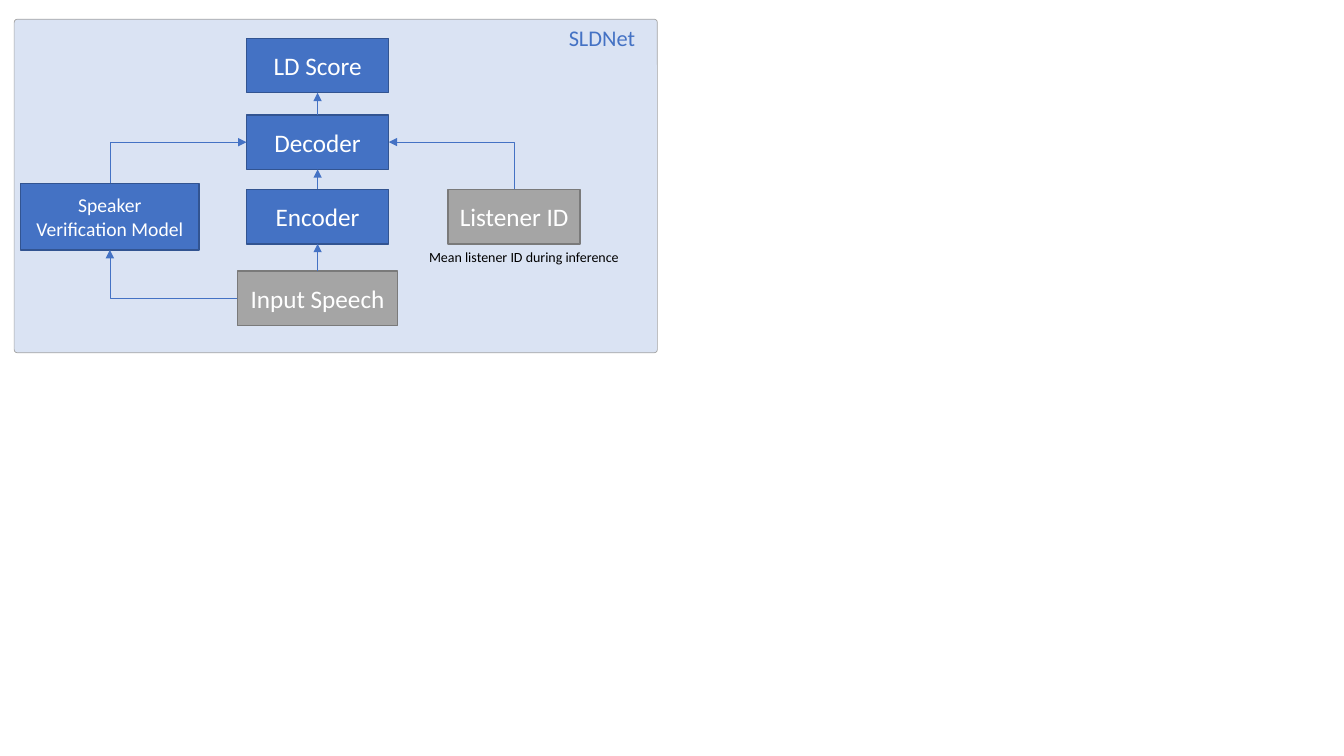
from lxml.etree import SubElement
from pptx import Presentation
from pptx.dml.color import RGBColor
from pptx.enum.shapes import MSO_CONNECTOR, MSO_SHAPE
from pptx.enum.text import MSO_ANCHOR, PP_ALIGN
from pptx.oxml.ns import qn
from pptx.util import Inches, Pt

HUES = {
    "panel": "DAE3F3", "blue": "4472C4", "navy": "325491",
    "gray": "A5A5A5", "slate": "7A7A7A", "white": "FFFFFF", "black": "000000",
}
EDGES = {"blue": "navy", "gray": "slate"}
TOP, LEFT, BASE, RIGHT = range(4)
MID = 3.15
TALL = 0.54


def hue(name):
    return RGBColor.from_string(HUES[name])


def write(shape, text, size, color):
    frame = shape.text_frame
    frame.word_wrap = True
    para = frame.paragraphs[0]
    para.alignment = PP_ALIGN.CENTER
    run = para.add_run()
    run.text = text
    run.font.name = "Calibri"
    run.font.size = Pt(size)
    run.font.color.rgb = hue(color)


def form(slide, kind, spot, fill, edge, width):
    shape = slide.shapes.add_shape(kind, *map(Inches, spot))
    shape.shadow.inherit = False
    shape.fill.solid()
    shape.fill.fore_color.rgb = hue(fill)
    shape.line.color.rgb = hue(edge)
    shape.line.width = Pt(width)
    return shape


def panel(slide):
    shape = form(slide, MSO_SHAPE.ROUNDED_RECTANGLE,
                 (0.14, 0.19, 6.38, 3.31), "panel", "gray", 0.5)
    shape.adjustments[0] = 0.01


def block(slide, text, mid, top, wide, tall=TALL, fill="blue", size=18):
    spot = (mid - wide / 2, top, wide, tall)
    shape = form(slide, MSO_SHAPE.RECTANGLE, spot, fill, EDGES[fill], 1)
    shape.text_frame.vertical_anchor = MSO_ANCHOR.MIDDLE
    write(shape, text, size, "white")
    return shape


def label(slide, text, spot, size, color):
    write(slide.shapes.add_textbox(*map(Inches, spot)), text, size, color)


def style(link):
    link.line.color.rgb = hue("blue")
    link.line.width = Pt(0.5)
    props = link._element.spPr
    SubElement(props.find(qn("a:ln")), qn("a:tailEnd"), type="triangle")
    SubElement(props, qn("a:effectLst"))


def rise(slide, low, high):
    link = slide.shapes.add_connector(MSO_CONNECTOR.STRAIGHT, 0, 0, 0, 0)
    link.begin_connect(low, TOP)
    link.end_connect(high, BASE)
    style(link)


def port(shape, side):
    across, down = {TOP: (1, 0), LEFT: (0, 1), BASE: (1, 2), RIGHT: (2, 1)}[side]
    return (shape.left + shape.width * across // 2,
            shape.top + shape.height * down // 2)


def bend(slide, start, side, end, goal):
    x1, y1 = port(start, side)
    x2, y2 = port(end, goal)
    climbs = side == TOP
    if climbs:
        mx, my = (x1 + x2) // 2, (y1 + y2) // 2
        dx, dy = (x2 - x1) // 2, (y1 - y2) // 2
        x1, y1, x2, y2 = mx - dy, my - dx, mx + dy, my + dx
    link = slide.shapes.add_connector(MSO_CONNECTOR.ELBOW, x1, y1, x2, y2)
    props = link._element.spPr
    props.find(qn("a:prstGeom")).set("prst", "bentConnector2")
    if climbs:
        props.find(qn("a:xfrm")).set("rot", str(270 * 60000))
    style(link)


def main():
    deck = Presentation()
    deck.slide_width, deck.slide_height = Inches(13.33), Inches(7.5)
    slide = deck.slides.add_slide(deck.slide_layouts[6])
    panel(slide)

    score = block(slide, "LD Score", MID, 0.38, 1.41)
    decode = block(slide, "Decoder", MID, 1.14, 1.41)
    encode = block(slide, "Encoder", MID, 1.88, 1.41)
    speech = block(slide, "Input Speech", MID, 2.69, 1.59, fill="gray")
    hearer = block(slide, "Listener ID", 5.1, 1.88, 1.31, fill="gray")
    voice = block(slide, "Speaker Verification Model", 1.09, 1.82, 1.77,
                  tall=0.66, size=14)

    stack = [speech, encode, decode, score]
    for low, high in zip(stack, stack[1:]):
        rise(slide, low, high)
    bend(slide, hearer, TOP, decode, RIGHT)
    bend(slide, speech, LEFT, voice, BASE)
    bend(slide, voice, TOP, decode, LEFT)

    label(slide, "Mean listener ID during inference",
          (4.09, 2.42, 2.21, 0.27), 10, "black")
    label(slide, "SLDNet", (5.51, 0.19, 0.92, 0.37), 16, "blue")
    deck.save("out.pptx")


if __name__ == "__main__":
    main()
